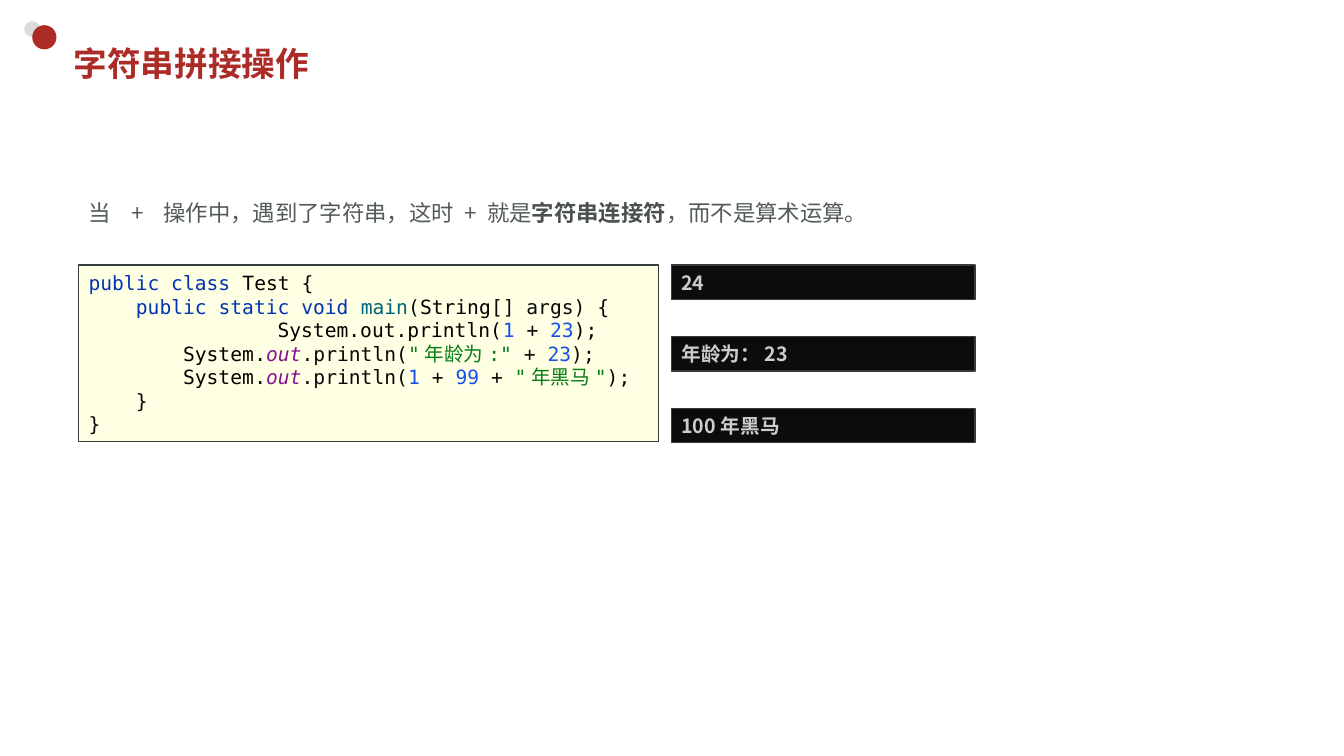
from lxml.etree import SubElement
from pptx import Presentation
from pptx.dml.color import RGBColor
from pptx.enum.shapes import MSO_SHAPE
from pptx.enum.text import MSO_ANCHOR, MSO_AUTO_SIZE, PP_ALIGN
from pptx.oxml.ns import qn
from pptx.util import Inches, Pt

RED = RGBColor(0xAD, 0x2B, 0x26)
LIGHT_GREY = RGBColor(0xDA, 0xDD, 0xDC)
BODY_GREY = RGBColor(0x52, 0x5B, 0x5A)
STRONG_GREY = RGBColor(0x49, 0x50, 0x4F)
BORDER = RGBColor(0x36, 0x3C, 0x3B)
CODE_FILL = RGBColor(0xFF, 0xFF, 0xE4)
CONSOLE_FILL = RGBColor(0x0C, 0x0C, 0x0C)
CONSOLE_TEXT = RGBColor(0xCC, 0xCC, 0xCC)
KEYWORD = RGBColor(0x00, 0x33, 0xB3)
METHOD = RGBColor(0x00, 0x62, 0x7A)
NUMBER = RGBColor(0x17, 0x50, 0xEB)
STRING = RGBColor(0x06, 0x7D, 0x17)
FIELD = RGBColor(0x87, 0x10, 0x94)
BLACK = RGBColor(0x00, 0x00, 0x00)
PLAIN = RGBColor(0x08, 0x08, 0x08)

MONO = "DejaVu Sans Mono"
SANS = "Noto Sans CJK JP"

CODE_LINES = [
    [("public class ", KEYWORD), ("Test ", BLACK), ("{", PLAIN)],
    [("    ", PLAIN), ("public static void ", KEYWORD), ("main", METHOD),
     ("(", PLAIN), ("String", BLACK), ("[] args) {", PLAIN)],
    [("                System.out.println(", BLACK), ("1 ", NUMBER),
     ("+ ", BLACK), ("23", NUMBER), (");", BLACK)],
    [("        System", BLACK), (".", PLAIN), ("out", FIELD), (".println(", PLAIN),
     ('"年龄为:" ', STRING), ("+ ", PLAIN), ("23", NUMBER), (");", PLAIN)],
    [("        System", BLACK), (".", PLAIN), ("out", FIELD), (".println(", PLAIN),
     ("1 ", NUMBER), ("+ ", PLAIN), ("99 ", NUMBER), ("+ ", PLAIN),
     ('"年黑马"', STRING), (");", PLAIN)],
    [("    }", PLAIN)],
    [("}", PLAIN)],
]
OUTPUTS = ["24", "年龄为：23", "100年黑马"]


def add_run(paragraph, text, font_name, size, color, bold=False, italic=False):
    """Append a run with Latin and East Asian fonts set, and return it."""
    run = paragraph.add_run()
    run.text = text
    font = run.font
    font.name, font.size, font.bold, font.italic = font_name, Pt(size), bold, italic
    font.color.rgb = color
    SubElement(run._r.get_or_add_rPr(), qn("a:ea")).set("typeface", font_name)
    return run


def add_title(slide, text):
    """Place and fill the title placeholder."""
    title = slide.shapes.title
    title.left, title.top = Inches(0.63), Inches(0.37)
    title.width, title.height = Inches(11.74), Inches(0.52)
    frame = title.text_frame
    frame.auto_size = MSO_AUTO_SIZE.NONE
    frame.vertical_anchor = MSO_ANCHOR.MIDDLE
    paragraph = frame.paragraphs[0]
    paragraph.alignment = PP_ALIGN.LEFT
    add_run(paragraph, text, MONO, 24, RED, bold=True)


def add_dot(slide, left, top, diameter, color):
    """Draw a filled circle without an outline."""
    dot = slide.shapes.add_shape(MSO_SHAPE.OVAL, Inches(left), Inches(top),
                                 Inches(diameter), Inches(diameter))
    dot.shadow.inherit = False
    dot.fill.solid()
    dot.fill.fore_color.rgb = color
    dot.line.fill.background()


def add_statement(slide):
    """Write the sentence that explains the plus sign."""
    box = slide.shapes.add_textbox(Inches(0.78), Inches(1.84), Inches(7.96), Inches(0.47))
    frame = box.text_frame
    frame.word_wrap = True
    frame.margin_top = frame.margin_right = 0
    paragraph = frame.paragraphs[0]
    paragraph.line_spacing = 1.5
    for text in ("当", " ", "+", " ", "操作中，遇到了字符串，这时 + 就是"):
        run = add_run(paragraph, text, SANS, 16, BODY_GREY)
        if text == " ":
            run._r.get_or_add_rPr().set("spc", "700")
    add_run(paragraph, "字符串连接符", SANS, 16, STRONG_GREY, bold=True)
    add_run(paragraph, "，而不是算术运算。", SANS, 16, BODY_GREY)


def add_panel(slide, left, top, width, height, fill):
    """Draw a bordered rectangle and return its text frame."""
    panel = slide.shapes.add_shape(MSO_SHAPE.RECTANGLE, Inches(left), Inches(top),
                                   Inches(width), Inches(height))
    panel.shadow.inherit = False
    panel.fill.solid()
    panel.fill.fore_color.rgb = fill
    panel.line.color.rgb = BORDER
    panel.line.width = Pt(1)
    frame = panel.text_frame
    frame.word_wrap = True
    frame.vertical_anchor = MSO_ANCHOR.MIDDLE
    return frame


def add_code(slide):
    """Write the highlighted listing, one paragraph for each line."""
    frame = add_panel(slide, 0.78, 2.63, 5.75, 1.75, CODE_FILL)
    for index, line in enumerate(CODE_LINES):
        paragraph = frame.add_paragraph() if index else frame.paragraphs[0]
        paragraph.alignment = PP_ALIGN.LEFT
        for text, color in line:
            add_run(paragraph, text, MONO, 14, color, italic=color == FIELD)


def add_outputs(slide):
    """Stack the console results at equal steps beside the code."""
    for index, text in enumerate(OUTPUTS):
        frame = add_panel(slide, 6.66, 2.63 + 0.71 * index, 3.01, 0.34, CONSOLE_FILL)
        frame.margin_top = frame.margin_bottom = 0
        paragraph = frame.paragraphs[0]
        paragraph.alignment = PP_ALIGN.LEFT
        add_run(paragraph, text, SANS, 14, CONSOLE_TEXT, bold=True)


def main():
    """Build the slide and save it."""
    presentation = Presentation()
    presentation.slide_width = Inches(13.33)
    presentation.slide_height = Inches(7.5)
    slide = presentation.slides.add_slide(presentation.slide_layouts[5])
    add_dot(slide, 0.24, 0.21, 0.16, LIGHT_GREY)
    add_dot(slide, 0.32, 0.25, 0.24, RED)
    add_title(slide, "字符串拼接操作")
    add_statement(slide)
    add_code(slide)
    add_outputs(slide)
    presentation.save("out.pptx")


if __name__ == "__main__":
    main()
